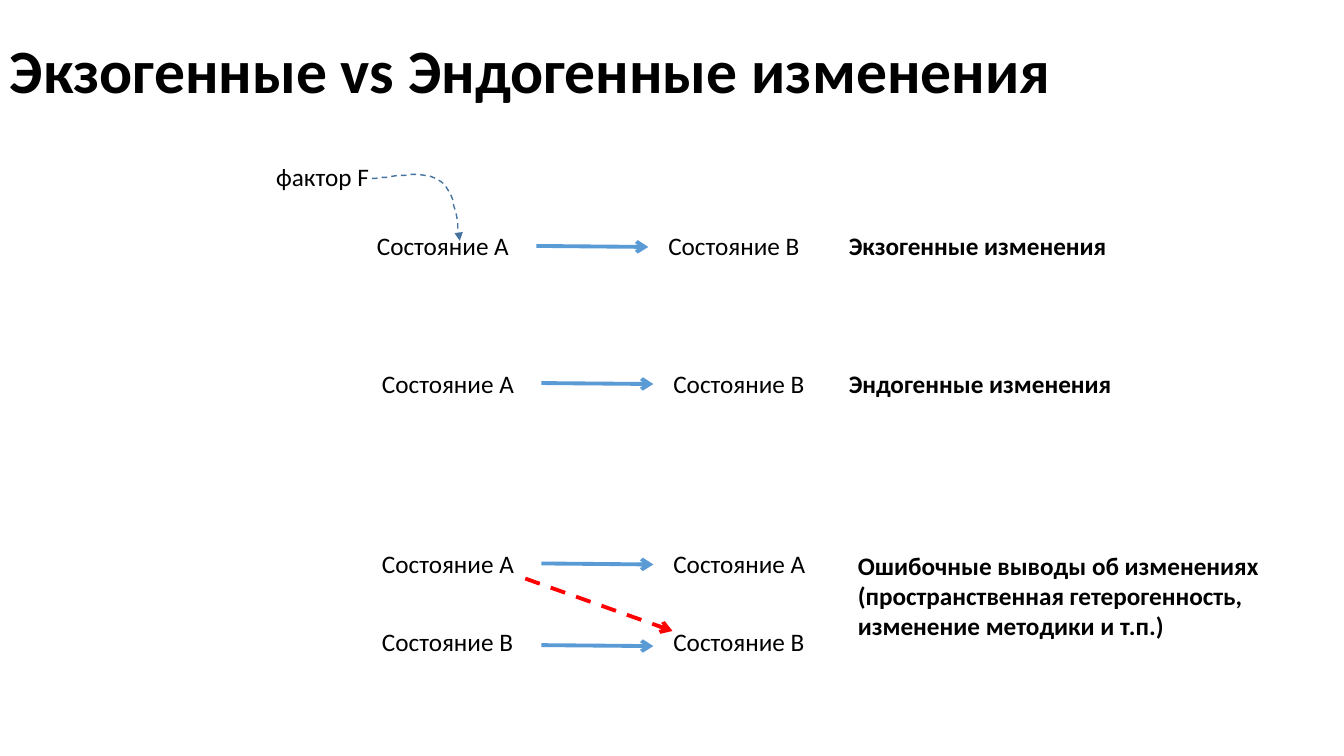
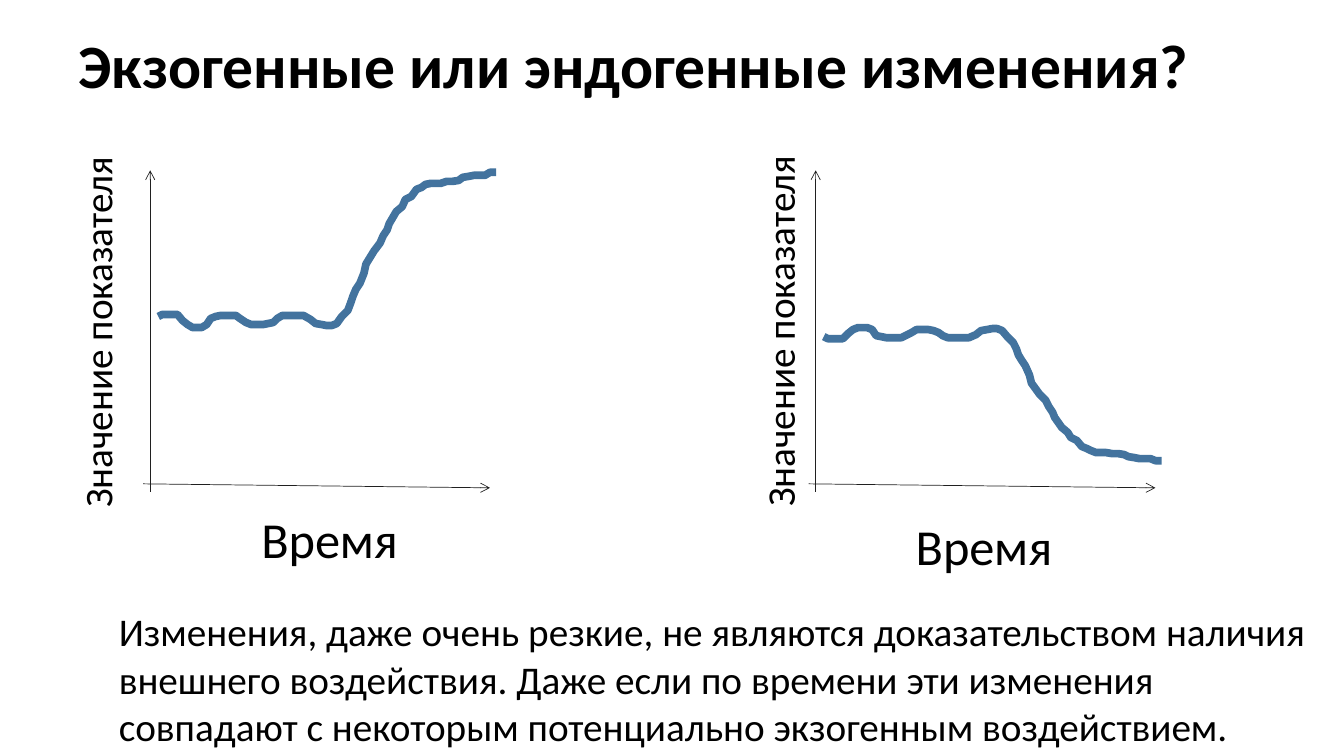
from lxml.etree import SubElement
from pptx import Presentation
from pptx.dml.color import RGBColor
from pptx.enum.dml import MSO_LINE_DASH_STYLE as DASH
from pptx.enum.shapes import MSO_CONNECTOR as CONNECTOR
from pptx.enum.text import MSO_ANCHOR as ANCHOR, PP_ALIGN as ALIGN
from pptx.oxml.ns import qn
from pptx.util import Pt

PX = 9144
FONT = "Calibri"
BLACK = RGBColor(0x00, 0x00, 0x00)
AXIS = RGBColor(0x20, 0x20, 0x20)
ARROW = RGBColor(0x5B, 0x9B, 0xD5)
CURVE = RGBColor(0x43, 0x73, 0x9E)
ERROR = RGBColor(0xFF, 0x00, 0x00)

TIMES = [
    157, 161, 166, 171, 176, 181, 186, 191, 196, 200, 205, 209, 214, 219,
    224, 229, 234, 238, 244, 249, 255, 261, 266, 271, 275, 280, 285, 290,
    296, 301, 308, 313, 319, 324, 329, 334, 339, 345, 348, 350, 353, 357,
    361, 363, 371, 377, 380, 384, 386, 393, 399, 402, 408, 413, 418, 422,
    427, 432, 437, 443, 449, 455, 459, 465, 470, 476, 481, 486, 492,
]
RISE = [
    314, 312, 312, 312, 312, 318, 322, 325, 325, 325, 322, 316, 314, 313,
    313, 313, 313, 316, 320, 322, 322, 322, 321, 320, 316, 313, 313, 313,
    313, 313, 317, 321, 322, 323, 323, 321, 314, 308, 300, 294, 287, 281,
    271, 262, 249, 241, 234, 228, 222, 210, 205, 198, 195, 188, 186, 183,
    182, 182, 182, 180, 180, 179, 176, 175, 174, 174, 174, 171, 171,
]
FALL = [
    334, 336, 336, 336, 336, 331, 327, 325, 325, 325, 327, 333, 334, 335,
    335, 335, 335, 333, 330, 327, 327, 327, 328, 330, 333, 335, 335, 335,
    335, 335, 332, 328, 327, 326, 326, 328, 334, 340, 346, 352, 357, 363,
    372, 380, 391, 397, 403, 409, 414, 424, 429, 434, 437, 443, 445, 447,
    449, 449, 449, 450, 450, 451, 453, 454, 455, 455, 455, 457, 457,
]


def add_text(slide, text, left, top, width, height, size=18, bold=False,
             align=ALIGN.LEFT, anchor=ANCHOR.TOP, spacing=1.0, rotation=0):
    box = slide.shapes.add_textbox(left * PX, top * PX, width * PX, height * PX)
    box.rotation = rotation
    frame = box.text_frame
    frame.word_wrap = True
    frame.vertical_anchor = anchor
    paragraph = frame.paragraphs[0]
    paragraph.alignment = align
    paragraph.line_spacing = spacing
    run = paragraph.add_run()
    run.text = text
    run.font.name = FONT
    run.font.size = Pt(size)
    run.font.bold = bold
    run.font.color.rgb = BLACK


def add_title(slide, text, left, top, height):
    add_text(slide, text, left, top, 1150, height, size=44, bold=True,
             anchor=ANCHOR.MIDDLE, spacing=0.9)


def style_line(line, color, weight, dash=None, head=None):
    line.color.rgb = color
    line.width = Pt(weight)
    if dash:
        line.dash_style = dash
    if head:
        SubElement(line._get_or_add_ln(), qn("a:tailEnd"), type=head)


def add_arrow(slide, start, end, color=ARROW, weight=2.75, dash=None):
    arrow = slide.shapes.add_connector(
        CONNECTOR.STRAIGHT, *(value * PX for value in (*start, *end)))
    style_line(arrow.line, color, weight, dash, "arrow")
    SubElement(arrow._element.spPr, qn("a:effectLst"))


def add_curve(slide, points, weight, dash=None, head=None):
    builder = slide.shapes.build_freeform(*points[0], scale=PX)
    builder.add_line_segments(points[1:], close=False)
    curve = builder.convert_to_shape()
    curve.shadow.inherit = False
    curve.fill.background()
    style_line(curve.line, CURVE, weight, dash, head)


def bezier(start, control1, control2, end, steps=12):
    def blend(t, a, b, c, d):
        s = 1 - t
        return s**3 * a + 3 * s * s * t * b + 3 * s * t * t * c + t**3 * d

    return [
        tuple(blend(i / steps, *axis) for axis in zip(start, control1, control2, end))
        for i in range(steps + 1)
    ]


def add_transition(slide, before, after, left, top, drop=20):
    add_text(slide, before, left, top, 164, 40)
    add_text(slide, after, left + 289, top, 164, 40)
    add_arrow(slide, (left + 168, top + drop), (left + 279, top + drop + 1))


def add_graph(slide, shift, values, value_left, value_top, time_left, time_top):
    add_arrow(slide, (142 + shift, 480), (486 + shift, 484), AXIS, 0.5)
    add_arrow(slide, (149 + shift, 488), (149 + shift, 169), AXIS, 0.5)
    add_curve(slide, [(time + shift, value) for time, value in zip(TIMES, values)], 5.5)
    add_text(slide, "Значение показателя", value_left, value_top, 522, 57,
             size=28, align=ALIGN.CENTER, rotation=270)
    add_text(slide, "Время", time_left, time_top, 340, 71,
             size=36, align=ALIGN.CENTER)


def build_comparison(slide):
    add_title(slide, "Экзогенные vs Эндогенные изменения", 0, 0, 145)

    add_text(slide, "фактор F", 264, 155, 128, 40)
    factor_path = bezier((369, 177), (382, 177), (420, 167), (437, 180))
    factor_path += bezier((437, 180), (454, 192), (453, 227), (456, 239))[1:]
    add_curve(slide, factor_path, 1, DASH.DASH, "triangle")

    add_transition(slide, "Состояние A", "Состояние B", 364, 224)
    add_transition(slide, "Состояние A", "Состояние B", 369, 360)
    add_transition(slide, "Состояние A", "Состояние А", 369, 539)
    add_transition(slide, "Состояние B", "Состояние B", 369, 616, drop=24)
    add_arrow(slide, (521, 574), (667, 626), ERROR, dash=DASH.DASH)

    add_text(slide, "Экзогенные изменения", 832, 224, 345, 40, bold=True)
    add_text(slide, "Эндогенные изменения", 832, 360, 345, 40, bold=True)
    add_text(slide, "Ошибочные выводы об изменениях (пространственная "
             "гетерогенность, изменение методики и т.п.)",
             841, 541, 424, 101, bold=True)


def build_question(slide):
    add_title(slide, "Экзогенные или эндогенные изменения?", 68, -1, 138)
    add_graph(slide, 0, RISE, -165, 301, 157, 499)
    add_graph(slide, 660, FALL, 512, 300, 806, 506)
    add_text(slide, "Изменения, даже очень резкие, не являются доказательством "
             "наличия внешнего воздействия. Даже если по времени эти изменения "
             "совпадают с некоторым потенциально экзогенным воздействием.",
             108, 598, 1212, 151, size=28)


def main():
    deck = Presentation()
    deck.slide_width, deck.slide_height = 1333 * PX, 750 * PX
    blank = deck.slide_layouts[6]
    for build in (build_comparison, build_question):
        build(deck.slides.add_slide(blank))
    deck.save("out.pptx")


if __name__ == "__main__":
    main()
